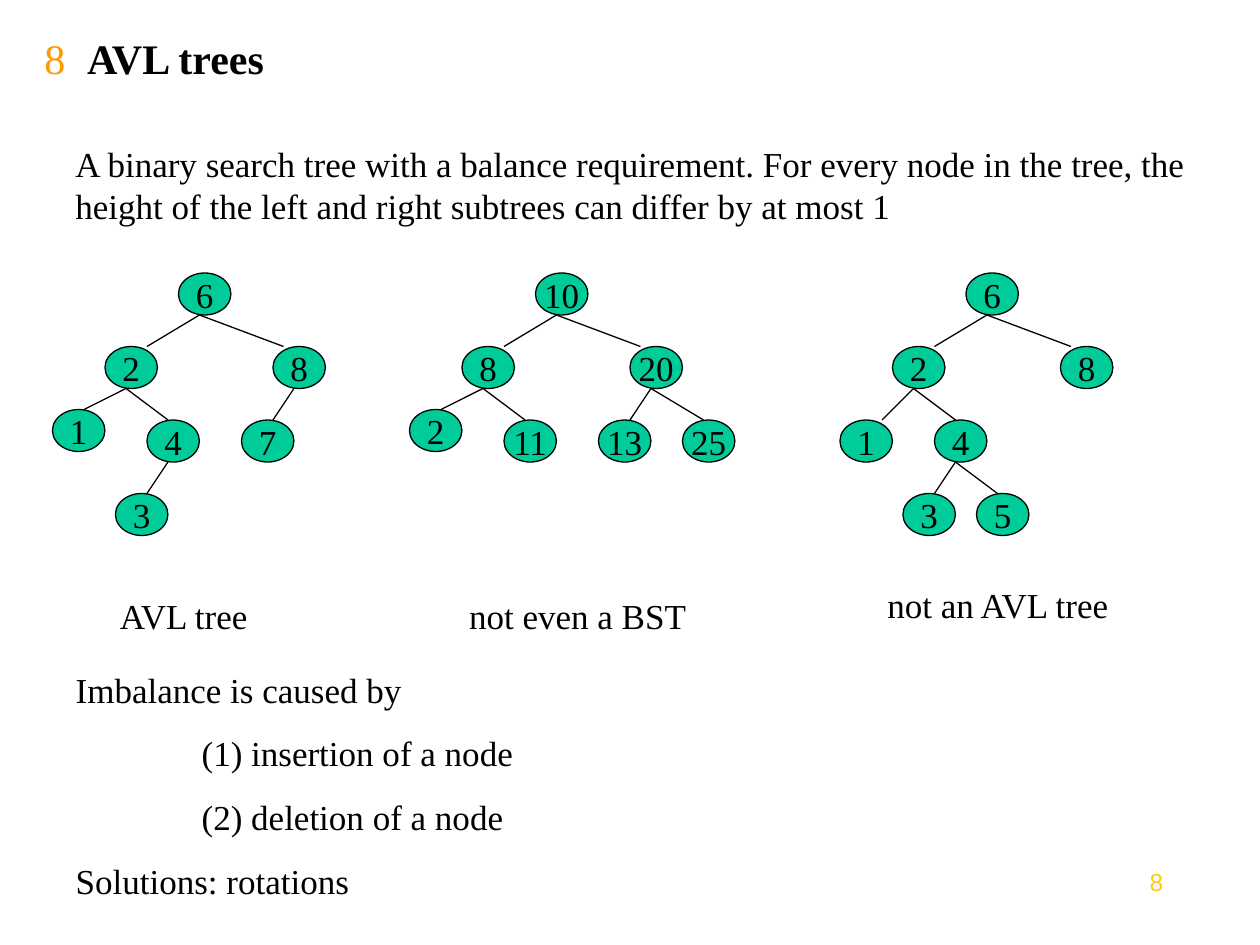
from lxml import etree
from pptx import Presentation
from pptx.dml.color import RGBColor as Rgb
from pptx.enum.shapes import MSO_CONNECTOR as Connector, MSO_SHAPE as Preset
from pptx.enum.text import MSO_ANCHOR as Anchor, MSO_AUTO_SIZE as AutoSize, PP_ALIGN as Align
from pptx.oxml.ns import qn
from pptx.util import Cm, Pt

COLORS = {"ink": "000000", "node": "00CC99", "number": "FF9900", "page": "FFCC00"}
GRID = 2.54 / 12
NODE_WIDTH, NODE_HEIGHT = 5, 4
EDGE_START = 2

# Each node: label, column and row from the root, parent, where the edge meets it.
TREES = [
    (17, 26, [
        ("6", 0, 0, None, 0), ("2", -7, 7, "6", 4), ("8", 9, 7, "6", 1),
        ("1", -12, 13, "2", 3), ("4", -3, 14, "2", 2),
        ("7", 6, 14, "8", 3), ("3", -6, 21, "4", 3),
    ]),
    (51, 26, [
        ("10", 0, 0, None, 0), ("8", -7, 7, "10", 4), ("20", 9, 7, "10", 1),
        ("2", -12, 13, "8", 3), ("11", -3, 14, "8", 2),
        ("13", 6, 14, "20", 3), ("25", 14, 14, "20", 2),
    ]),
    (92, 26, [
        ("6", 0, 0, None, 0), ("2", -7, 7, "6", 4), ("8", 9, 7, "6", 1),
        ("1", -12, 14, "2", 4), ("4", -3, 14, "2", 2),
        ("3", -6, 21, "4", 3), ("5", 1, 21, "4", 2),
    ]),
]
CAPTIONS = [
    ("AVL tree", 1.27, 11.85, 4.87),
    ("not even a BST", 8.68, 11.85, 5.93),
    ("not an AVL tree", 17.15, 11.64, 5.93),
]
CAUSES = [
    ("Imbalance is caused by", 0),
    ("(1) insertion of a node", 2.54),
    ("(2) deletion of a node", 2.54),
    ("Solutions: rotations", 0),
]


def add_span(para, text, size=20, color="ink", bold=False, font="Times New Roman"):
    span = para.add_run()
    span.text = text
    span.font.name = font
    span.font.size = Pt(size)
    span.font.bold = bold
    span.font.color.rgb = Rgb.from_string(COLORS[color])


def grid(steps):
    return Cm(steps * GRID)


class SlideBuilder:
    def __init__(self, page):
        self.page = page
        self.line_width = Pt(0.75)

    def place(self, box, left, top, width, height):
        box.left, box.top, box.width, box.height = map(Cm, (left, top, width, height))

    def title(self, number, text):
        box = self.page.shapes.title
        self.place(box, 0.64, 0.64, 21.59, 1.06)
        frame = box.text_frame
        frame.auto_size = AutoSize.NONE
        frame.vertical_anchor = Anchor.MIDDLE
        para = frame.paragraphs[0]
        para.alignment = Align.LEFT
        tabs = etree.SubElement(para._p.get_or_add_pPr(), qn("a:tabLst"))
        etree.SubElement(tabs, qn("a:tab"), pos=str(Cm(0.86)), algn="l")
        add_span(para, number, size=24, color="number")
        add_span(para, "\t" + text, size=24, bold=True)

    def text(self, text, left, top, width, height, align=Align.LEFT, **style):
        box = self.page.shapes.add_textbox(*map(Cm, (left, top, width, height)))
        box.text_frame.word_wrap = True
        para = box.text_frame.paragraphs[0]
        para.alignment = align
        add_span(para, text, **style)

    def body(self, items, left, top, width, height):
        box = self.page.placeholders[1]
        self.place(box, left, top, width, height)
        frame = box.text_frame
        frame.auto_size = AutoSize.NONE
        for index, (text, indent) in enumerate(items):
            para = frame.add_paragraph() if index else frame.paragraphs[0]
            properties = para._p.get_or_add_pPr()
            properties.set("marL", str(Cm(indent)))
            properties.set("indent", "0")
            etree.SubElement(properties, qn("a:buNone"))
            para.line_spacing = 1.0
            para.space_before = Pt(12.5 if index else 0)
            add_span(para, text)

    def node(self, group, label, column, row):
        box = group.shapes.add_shape(
            Preset.OVAL, grid(column), grid(row), grid(NODE_WIDTH), grid(NODE_HEIGHT))
        box.shadow.inherit = False
        box.fill.solid()
        box.fill.fore_color.rgb = Rgb.from_string(COLORS["node"])
        box.line.color.rgb = Rgb.from_string(COLORS["ink"])
        box.line.width = self.line_width
        frame = box.text_frame
        frame.word_wrap = False
        frame.vertical_anchor = Anchor.MIDDLE
        para = frame.paragraphs[0]
        para.alignment = Align.CENTER
        add_span(para, label)

    def edge(self, group, start, end):
        line = group.shapes.add_connector(Connector.STRAIGHT, *map(grid, start + end))
        line.line.color.rgb = Rgb.from_string(COLORS["ink"])
        line.line.width = self.line_width
        etree.SubElement(line._element.spPr, qn("a:effectLst"))

    def tree(self, left, top, nodes):
        group = self.page.shapes.add_group_shape()
        places = {label: (left + x, top + y) for label, x, y, _, _ in nodes}
        for label, (column, row) in places.items():
            self.node(group, label, column, row)
        for label, _, _, parent, reach in nodes:
            if parent:
                column, row = places[parent]
                child_column, child_row = places[label]
                self.edge(group, (column + EDGE_START, row + NODE_HEIGHT),
                          (child_column + reach, child_row))


def main():
    deck = Presentation()
    deck.slide_width, deck.slide_height = Cm(25.4), Cm(19.05)
    builder = SlideBuilder(deck.slides.add_slide(deck.slide_layouts[1]))
    builder.title("8", "AVL trees")
    builder.text(
        "A binary search tree with a balance requirement. For every node in the tree, "
        "the height of the left and right subtrees can differ by at most 1",
        1.27, 2.75, 23.07, 1.95)
    for left, top, nodes in TREES:
        builder.tree(left, top, nodes)
    for text, left, top, width in CAPTIONS:
        builder.text(text, left, top, width, 1.11, align=Align.CENTER)
    builder.body(CAUSES, 1.27, 13.34, 22.65, 4.98)
    builder.text("8", 22.01, 17.36, 1.69, 1.31, align=Align.RIGHT,
                 size=14, color="page", font="Arial")
    deck.save("out.pptx")


if __name__ == "__main__":
    main()
